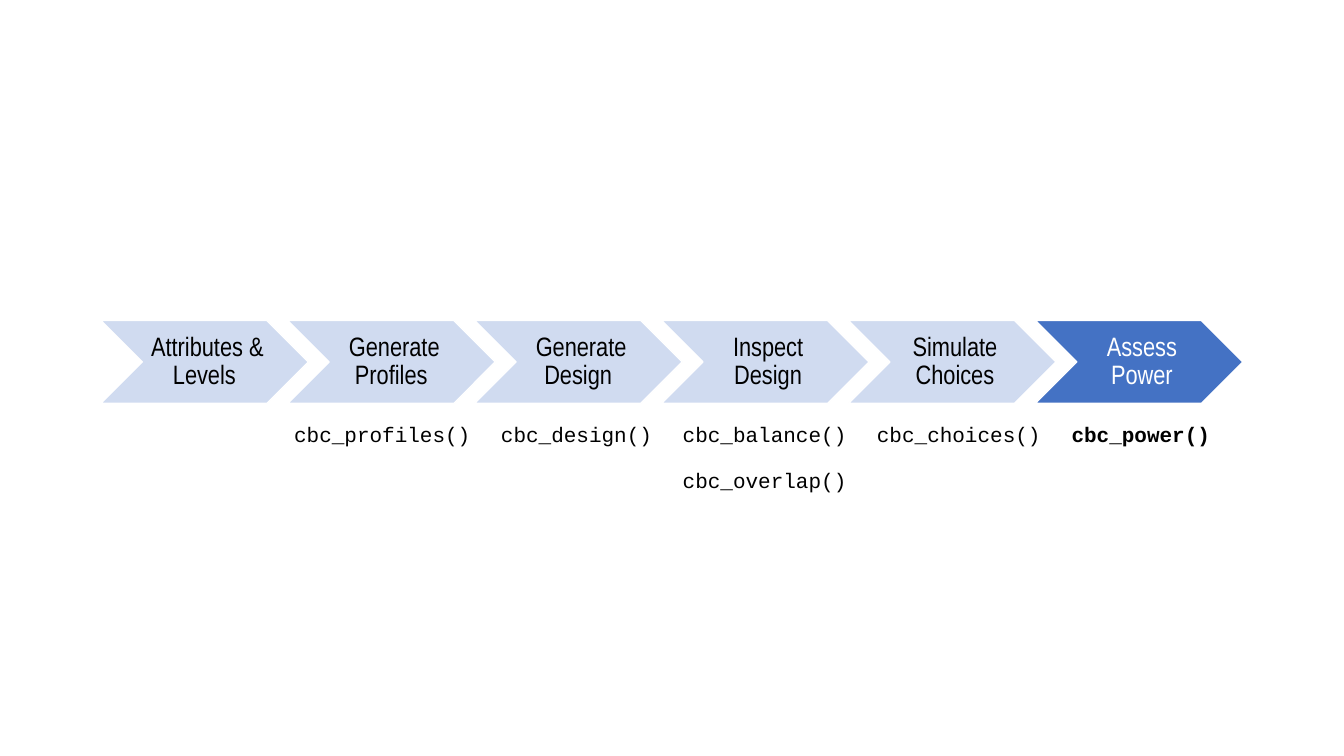
from pptx import Presentation
from pptx.dml.color import RGBColor
from pptx.enum.shapes import MSO_SHAPE
from pptx.enum.text import MSO_ANCHOR, MSO_AUTO_SIZE, PP_ALIGN
from pptx.oxml.ns import qn
from pptx.util import Pt
from lxml.etree import SubElement

COLORS = {"blue": "4472C4", "white": "FFFFFF", "black": "000000"}

# Step label, then its calls with the left edge of their column
STEPS = [
    ("Attributes & Levels ", 0, []),
    ("Generate Profiles ", 203, ["cbc_profiles()"]),
    ("Generate Design ", 350.8, ["cbc_design()"]),
    ("Inspect Design", 480.6, ["cbc_balance()", "cbc_overlap()"]),
    ("Simulate Choices", 619.3, ["cbc_choices()"]),
    ("Assess Power", 758.3, ["cbc_power()"]),
]
ACTIVE = len(STEPS) - 1

LEFT, TOP, WIDE, HIGH, PITCH = 72, 228.9, 148.3, 59.3, 133.5
CALL_TOP, CALL_HIGH, CALL_GAP = 297.7, 25.2, 33
CHAR, PAD = 9, 15.6  # Courier New advance at 15 pt, side insets


def color(name):
    return RGBColor.from_string(COLORS[name])


def write(frame, text, size=15, font="Courier New", ink="black", bold=False,
          align=PP_ALIGN.LEFT, space=1.0):
    para = frame.paragraphs[0]
    para.alignment = align
    para.line_spacing = space
    run = para.add_run()
    run.text = text
    run.font.size = Pt(size)
    run.font.name = font
    run.font.bold = bold
    run.font.color.rgb = color(ink)


def fade(shape, percent):
    tint = shape.fill._xPr.find(qn("a:solidFill"))[0]
    SubElement(tint, qn("a:alpha")).set("val", str(percent * 1000))


def add_step(slide, index, label, active):
    step = slide.shapes.add_shape(
        MSO_SHAPE.CHEVRON, Pt(LEFT + index * PITCH), Pt(TOP), Pt(WIDE), Pt(HIGH))
    step.shadow.inherit = False
    step.fill.solid()
    step.fill.fore_color.rgb = color("blue")
    if not active:
        fade(step, 25)
    step.line.color.rgb = color("white")
    step.line.width = Pt(1)
    frame = step.text_frame
    frame.word_wrap = True
    frame.vertical_anchor = MSO_ANCHOR.MIDDLE
    frame.margin_left = Pt(6)
    frame.margin_right = frame.margin_top = frame.margin_bottom = Pt(2)
    write(frame, label, size=19, font="Arial Narrow", space=0.9,
          ink="white" if active else "black", align=PP_ALIGN.CENTER)


def add_call(slide, left, row, text, bold):
    box = slide.shapes.add_textbox(
        Pt(left), Pt(CALL_TOP + row * CALL_GAP),
        Pt(len(text) * CHAR + PAD), Pt(CALL_HIGH))
    box.text_frame.word_wrap = False
    box.text_frame.auto_size = MSO_AUTO_SIZE.SHAPE_TO_FIT_TEXT
    write(box.text_frame, text, bold=bold)


def main():
    deck = Presentation()
    deck.slide_width, deck.slide_height = Pt(960), Pt(540)
    slide = deck.slides.add_slide(deck.slide_layouts[6])

    # Chevrons, each with its calls below
    for index, (label, left, calls) in enumerate(STEPS):
        active = index == ACTIVE
        add_step(slide, index, label, active)
        for row, call in enumerate(calls):
            add_call(slide, left, row, call, active)

    deck.save("out.pptx")


main()
